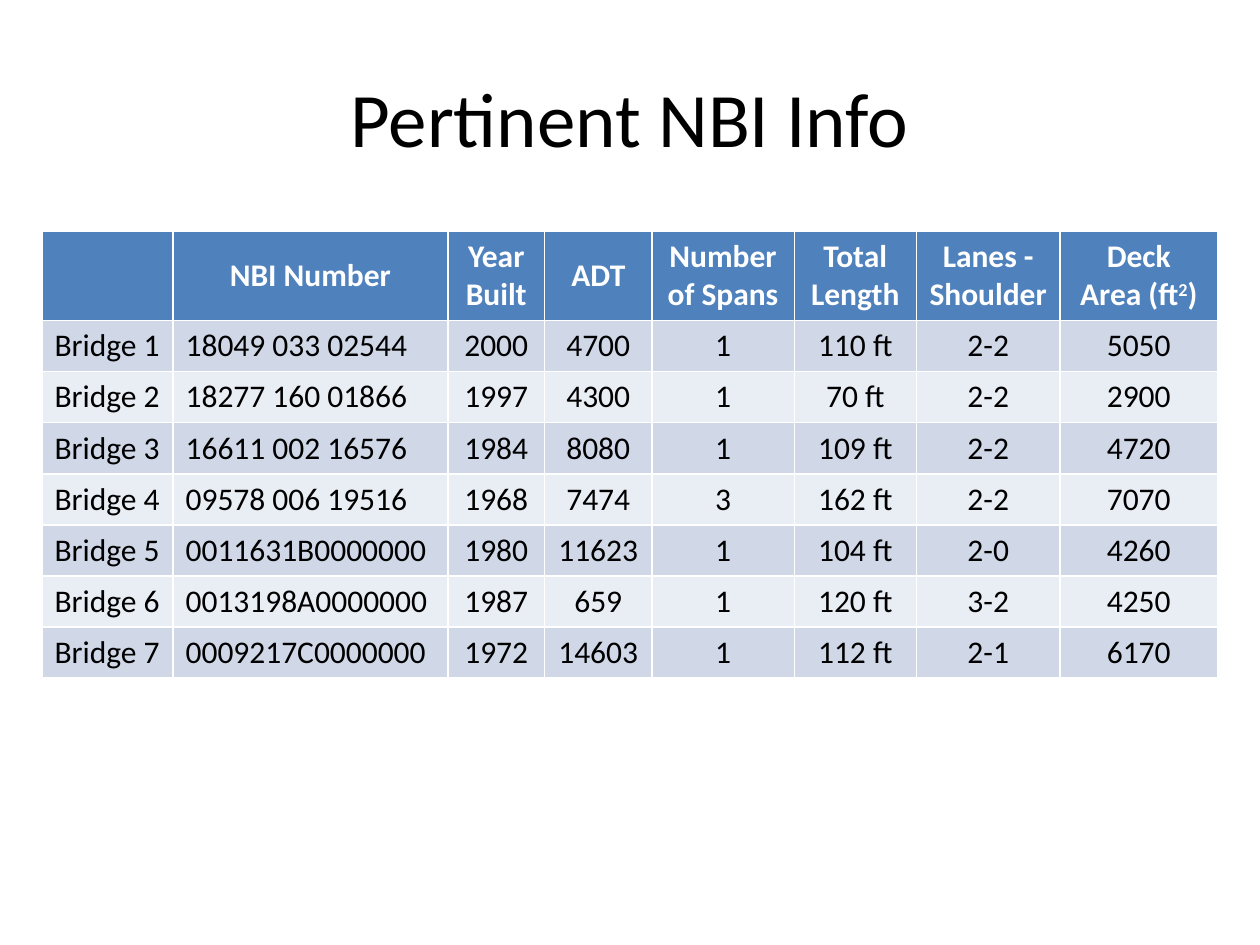
import pptx
import pptx.util
import pptx.dml.color
import pptx.enum.text

Pt = pptx.util.Pt
RGBColor = pptx.dml.color.RGBColor
ALIGN = pptx.enum.text.PP_ALIGN
MIDDLE = pptx.enum.text.MSO_ANCHOR.MIDDLE

BLACK = RGBColor(0x00, 0x00, 0x00)
WHITE = RGBColor(0xFF, 0xFF, 0xFF)
BLUE = RGBColor(0x4F, 0x81, 0xBD)
BANDS = [RGBColor(0xE9, 0xED, 0xF4), RGBColor(0xD0, 0xD8, 0xE8)]

HEAD = ["", "NBI Number", "Year Built", "ADT", "Number of Spans",
        "Total Length", "Lanes - Shoulder", "Deck Area (ft"]
BRIDGES = [
    ["18049 033 02544", "2000", "4700", "1", "110 ft", "2-2", "5050"],
    ["18277 160 01866", "1997", "4300", "1", "70 ft", "2-2", "2900"],
    ["16611 002 16576", "1984", "8080", "1", "109 ft", "2-2", "4720"],
    ["09578 006 19516", "1968", "7474", "3", "162 ft", "2-2", "7070"],
    ["0011631B0000000", "1980", "11623", "1", "104 ft", "2-0", "4260"],
    ["0013198A0000000", "1987", "659", "1", "120 ft", "3-2", "4250"],
    ["0009217C0000000", "1972", "14603", "1", "112 ft", "2-1", "6170"],
]
ROWS = [HEAD] + [[f"Bridge {n}"] + row for n, row in enumerate(BRIDGES, 1)]
WIDTHS = [74.9, 157, 55.4, 61.2, 81.4, 69.8, 82.1, 90]
HEAD_HIGH, ROW_HIGH = 50.4, 29.2


def style(para, size, color, bold, align):
    para.alignment = align
    font = para.font
    font.name = "Calibri"
    font.size = Pt(size)
    font.bold = bold
    font.color.rgb = color


deck = pptx.Presentation()
deck.slide_width, deck.slide_height = Pt(720), Pt(540)
slide = deck.slides.add_slide(deck.slide_layouts[5])

title = slide.shapes.title
title.left, title.top, title.width, title.height = Pt(36), Pt(21.6), Pt(648), Pt(90)
title.text_frame.text = "Pertinent NBI Info"
title.text_frame.vertical_anchor = MIDDLE
style(title.text_frame.paragraphs[0], 44, BLACK, False, ALIGN.CENTER)

# The default table style draws the white rules between the cells.
table = slide.shapes.add_table(
    len(ROWS), len(WIDTHS), Pt(24), Pt(132), Pt(sum(WIDTHS)),
    Pt(HEAD_HIGH + ROW_HIGH * len(BRIDGES))).table
for col, width in zip(table.columns, WIDTHS):
    col.width = Pt(width)

for r, row in enumerate(ROWS):
    head = r == 0
    table.rows[r].height = Pt(HEAD_HIGH if head else ROW_HIGH)
    for c, text in enumerate(row):
        cell = table.cell(r, c)
        cell.fill.solid()
        cell.fill.fore_color.rgb = BLUE if head else BANDS[r % 2]
        if head:
            cell.vertical_anchor = MIDDLE
        cell.text = text
        align = ALIGN.CENTER if head or c > 1 else ALIGN.LEFT
        style(cell.text_frame.paragraphs[0], 18, WHITE if head else BLACK, head, align)

area = table.cell(0, len(HEAD) - 1).text_frame.paragraphs[0]
power = area.add_run()
power.text = "2"
power._r.get_or_add_rPr().set("baseline", "30000")
area.add_run().text = ")"

deck.save("out.pptx")
